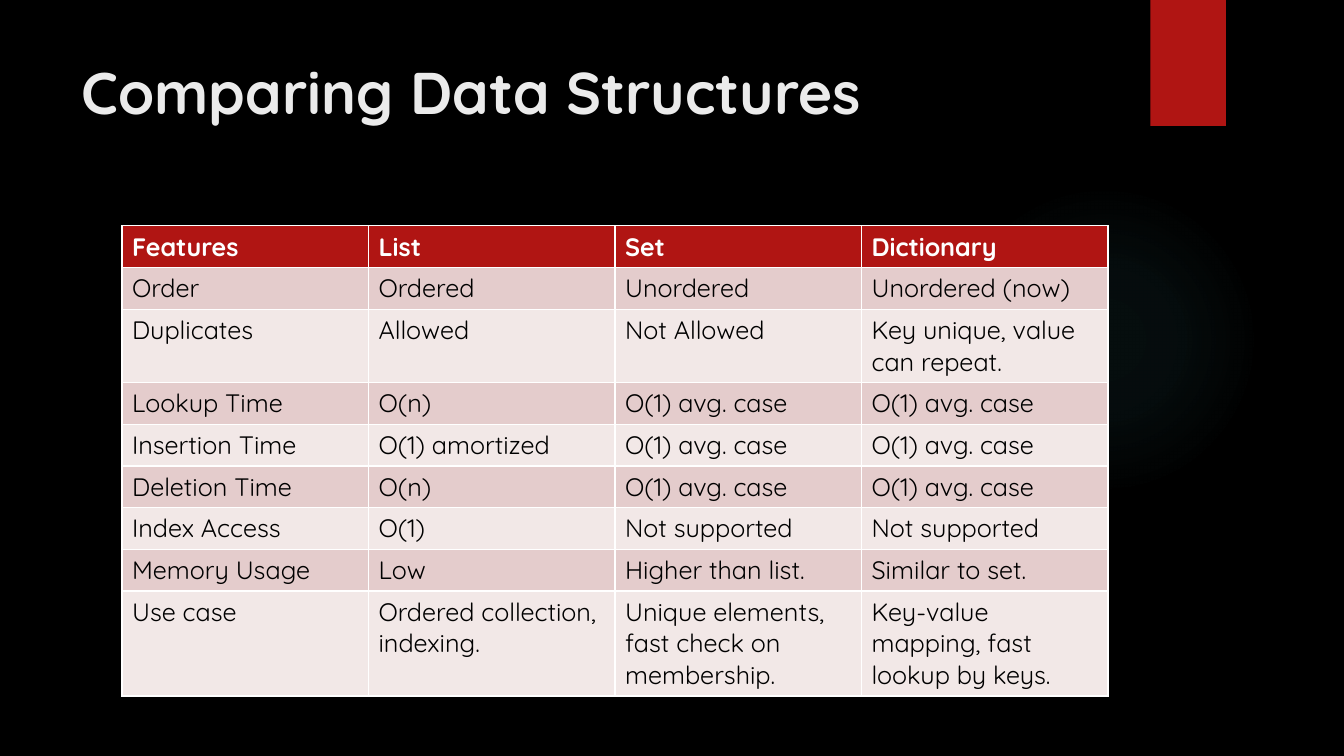
from lxml import etree
from pptx import Presentation
from pptx import util as u
from pptx.dml.color import RGBColor
from pptx.enum import shapes, text
from pptx.oxml import ns

COLORS = {
    "background": "000000",
    "glow": "50B9C1",
    "accent": "B01513",
    "title": "EBEBEB",
    "header_text": "FFFFFF",
    "body_text": "000000",
    "odd_row": "E4CCCC",
    "even_row": "F2E8E7",
}
FONT = "Quicksand"
ROWS = [
    ("Features", "List", "Set", "Dictionary"),
    ("Order", "Ordered", "Unordered", "Unordered (now)"),
    ("Duplicates", "Allowed", "Not Allowed", "Key unique, value can repeat."),
    ("Lookup Time", "O(n)", "O(1) avg. case", "O(1) avg. case"),
    ("Insertion Time", "O(1) amortized", "O(1) avg. case", "O(1) avg. case"),
    ("Deletion Time", "O(n)", "O(1) avg. case", "O(1) avg. case"),
    ("Index Access", "O(1)", "Not supported", "Not supported"),
    ("Memory Usage", "Low", "Higher than list.", "Similar to set."),
    ("Use case", "Ordered collection, indexing.",
     "Unique elements, fast check on membership.",
     "Key-value mapping, fast lookup by keys."),
]


def rgb(name):
    return RGBColor.from_string(COLORS[name])


def add_text(paragraph, words, size, color, bold):
    run = paragraph.add_run()
    run.text = words
    run.font.name = FONT
    run.font.size = u.Pt(size)
    run.font.bold = bold
    run.font.color.rgb = rgb(color)


presentation = Presentation()
presentation.slide_width = u.Inches(13.33)
presentation.slide_height = u.Inches(7.5)
slide = presentation.slides.add_slide(presentation.slide_layouts[5])
slide.background.fill.solid()
slide.background.fill.fore_color.rgb = rgb("background")

# Soft round glow behind the table
glow = slide.shapes.add_shape(
    shapes.MSO_SHAPE.OVAL,
    u.Inches(9.41), u.Inches(1.83), u.Inches(3.08), u.Inches(3.08))
glow.shadow.inherit = False
glow.line.fill.background()
stops = "".join(
    f'<a:gs pos="{position * 1000}"><a:srgbClr val="{COLORS["glow"]}">'
    f'<a:alpha val="{alpha * 1000}"/></a:srgbClr></a:gs>'
    for position, alpha in [(0, 7), (36, 6), (69, 0)])
gradient = etree.fromstring(
    f'<a:gradFill {ns.nsdecls("a")} rotWithShape="1"><a:gsLst>{stops}</a:gsLst>'
    '<a:path path="circle"><a:fillToRect l="50000" t="50000" r="50000" b="50000"/>'
    '</a:path></a:gradFill>')
glow.element.spPr.find(ns.qn("a:prstGeom")).addnext(gradient)

# Red tab at the top edge
tab = slide.shapes.add_shape(
    shapes.MSO_SHAPE.RECTANGLE,
    u.Inches(11.41), 0, u.Inches(0.75), u.Inches(1.25))
tab.fill.solid()
tab.fill.fore_color.rgb = rgb("accent")
tab.line.fill.background()
tab.shadow.inherit = False
tab.element.spPr.find(ns.qn("a:effectLst")).append(etree.fromstring(
    f'<a:outerShdw {ns.nsdecls("a")} blurRad="{u.Pt(3)}" dist="{u.Pt(2)}" '
    'dir="5400000" rotWithShape="0"><a:srgbClr val="000000">'
    '<a:alpha val="45000"/></a:srgbClr></a:outerShdw>'))

# Title, brought in front of the decoration
title = slide.shapes.title
slide.shapes.element.append(title.element)
title.left, title.top = u.Inches(0.71), u.Inches(0.5)
title.width, title.height = u.Inches(10.29), u.Inches(1.53)
title.text_frame.word_wrap = True
title.text_frame.auto_size = text.MSO_AUTO_SIZE.NONE
title.text_frame.vertical_anchor = text.MSO_ANCHOR.TOP
paragraph = title.text_frame.paragraphs[0]
paragraph.alignment = text.PP_ALIGN.LEFT
add_text(paragraph, "Comparing Data Structures", 42, "title", True)

# Comparison table
table = slide.shapes.add_table(
    len(ROWS), len(ROWS[0]),
    u.Inches(1.21), u.Inches(2.24), u.Inches(9.78), u.Inches(0.41 * len(ROWS))).table
for row_index, row in enumerate(ROWS):
    is_header = row_index == 0
    fill = "accent" if is_header else "odd_row" if row_index % 2 else "even_row"
    for column_index, words in enumerate(row):
        cell = table.cell(row_index, column_index)
        cell.fill.solid()
        cell.fill.fore_color.rgb = rgb(fill)
        add_text(cell.text_frame.paragraphs[0], words, 18,
                 "header_text" if is_header else "body_text", is_header)

presentation.save("out.pptx")
